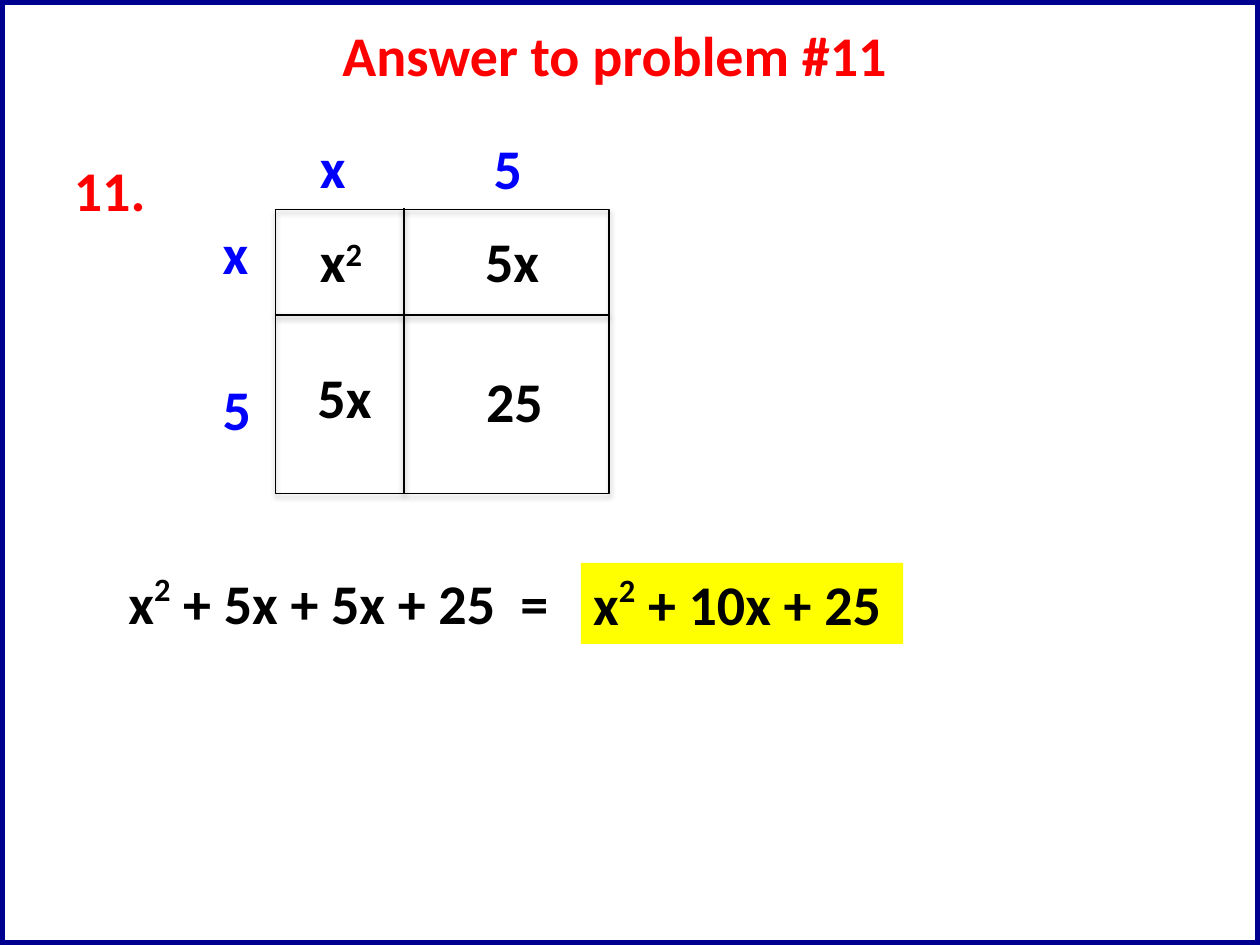
import lxml.etree
import pptx
import pptx.dml.color
import pptx.enum.shapes
import pptx.enum.text
import pptx.oxml
import pptx.oxml.ns
import pptx.util

Cm = pptx.util.Cm
RED, BLUE, BLACK = "FF0000", "0000FF", "000000"
TEXT_HEIGHT = 1.63


def write(shape, text, color, raised=40):
    """Write bold text; the character after each ^ is raised by that percentage."""
    frame = shape.text_frame
    frame.word_wrap = False
    frame.auto_size = pptx.enum.text.MSO_AUTO_SIZE.SHAPE_TO_FIT_TEXT
    frame.vertical_anchor = pptx.enum.text.MSO_ANCHOR.TOP
    para = frame.paragraphs[0]
    para.alignment = pptx.enum.text.PP_ALIGN.LEFT
    start, *powers = text.split("^")
    pieces = [(start, 0)]
    for power in powers:
        pieces += [(power[:1], raised), (power[1:], 0)]
    for piece, baseline in pieces:
        if not piece:
            continue
        span = para.add_run()
        span.text = piece
        span.font.name = "Calibri"
        span.font.size = pptx.util.Pt(32)
        span.font.bold = True
        span.font.color.rgb = pptx.dml.color.RGBColor.from_string(color)
        if baseline:
            span.font._element.set("baseline", str(baseline * 1000))


def outline(shape, color, width, shadow=None):
    """Set the line, and a soft shadow below of the given opacity percentage."""
    shape.line.color.rgb = pptx.dml.color.RGBColor.from_string(color)
    shape.line.width = pptx.util.Pt(width)
    effects = lxml.etree.SubElement(shape._element.spPr, pptx.oxml.ns.qn("a:effectLst"))
    if shadow:
        effects.append(pptx.oxml.parse_xml(
            f'<a:outerShdw {pptx.oxml.ns.nsdecls("a")} blurRad="40000" dist="20000" '
            'dir="5400000" rotWithShape="0"><a:srgbClr val="000000">'
            f'<a:alpha val="{shadow * 1000}"/></a:srgbClr></a:outerShdw>'))


deck = pptx.Presentation()
deck.slide_width, deck.slide_height = Cm(25.4), Cm(19.05)
page = deck.slides.add_slide(deck.slide_layouts[5])
shapes = page.shapes
rectangle = pptx.enum.shapes.MSO_SHAPE.RECTANGLE

# Page border, behind the title
border = shapes.add_shape(rectangle, 0, 0, deck.slide_width, deck.slide_height)
border.fill.solid()
border.fill.fore_color.rgb = pptx.dml.color.RGBColor.from_string("FFFFFF")
outline(border, "000090", 6)
shapes.title._element.addprevious(border._element)

title = shapes.title
title.left, title.top = Cm(6.65), Cm(0.28)
title.width, title.height = Cm(12.09), Cm(TEXT_HEIGHT)
write(title, "Answer to problem #11", RED)

# Area model: a square split into four products
left, top, right, bottom = 5.56, 4.23, 12.28, 9.95
square = shapes.add_shape(rectangle, Cm(left), Cm(top), Cm(right - left), Cm(bottom - top))
square.fill.background()
outline(square, BLACK, 0.75, shadow=35)
for x1, y1, x2, y2 in [(8.15, 4.2, 8.15, bottom), (left, 6.35, right, 6.35)]:
    divider = shapes.add_connector(
        pptx.enum.shapes.MSO_CONNECTOR.STRAIGHT, Cm(x1), Cm(y1), Cm(x2), Cm(y2))
    outline(divider, BLACK, 1, shadow=38)

# Text, left, top, width, colour, rise of the powers
labels = [
    ("11.", 1.24, 3.02, 1.98, RED, 0),
    ("x", 6.2, 2.54, 1.04, BLUE, 0),
    ("5", 9.7, 2.57, 1.09, BLUE, 0),
    ("x", 4.24, 4.29, 1.04, BLUE, 0),
    ("5", 4.24, 7.42, 1.09, BLUE, 0),
    ("x^2", 6.2, 4.45, 1.42, BLACK, 30),
    ("5x", 9.53, 4.45, 1.63, BLACK, 0),
    ("5x", 6.15, 7.19, 1.63, BLACK, 0),
    ("25", 9.55, 7.26, 1.68, BLACK, 0),
    ("x^2 + 5x + 5x + 25  =", 2.34, 11.33, 9.19, BLACK, 40),
]
for text, x, y, width, color, raised in labels:
    box = shapes.add_textbox(Cm(x), Cm(y), Cm(width), Cm(TEXT_HEIGHT))
    write(box, text, color, raised)

# Highlighted answer
answer = shapes.add_shape(rectangle, Cm(11.71), Cm(11.35), Cm(6.5), Cm(TEXT_HEIGHT))
answer.shadow.inherit = False
answer.fill.solid()
answer.fill.fore_color.rgb = pptx.dml.color.RGBColor.from_string("FFFF00")
answer.line.fill.background()
write(answer, "x^2 + 10x + 25", BLACK)
answer.text_frame.word_wrap = True

deck.save("out.pptx")
